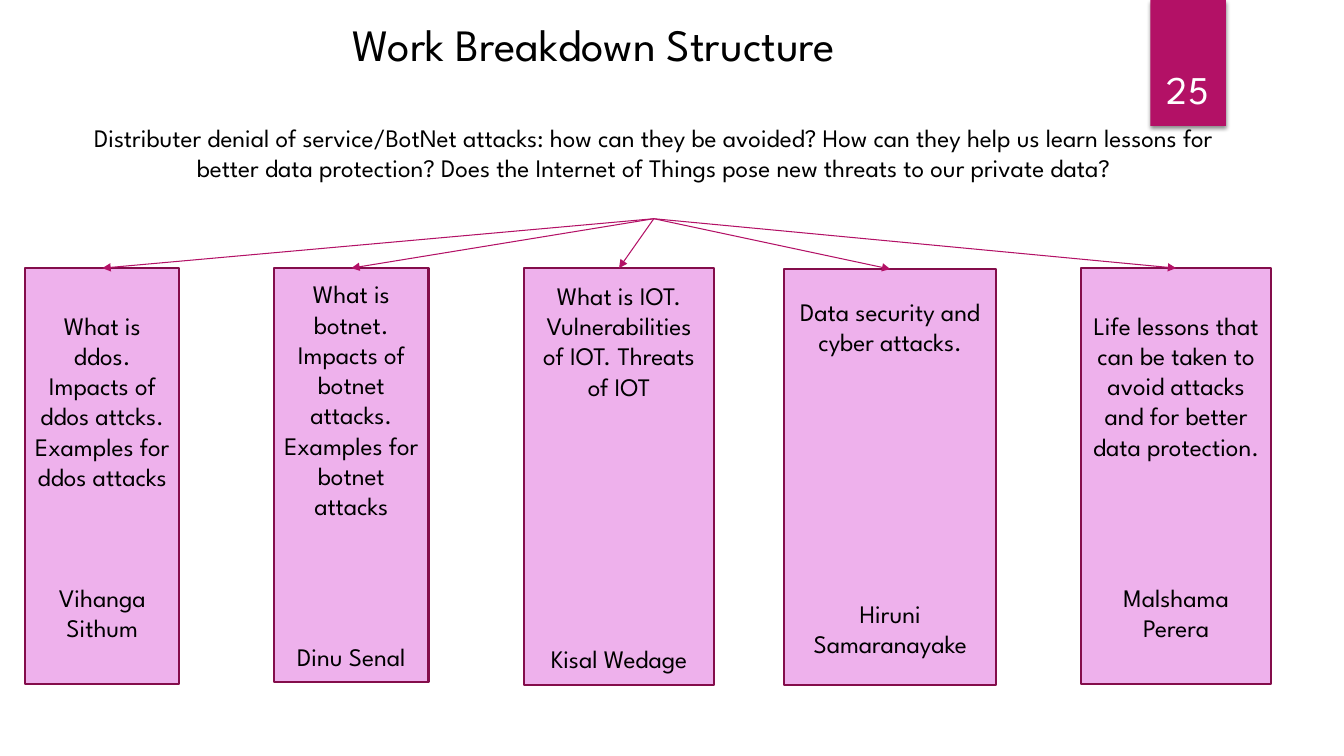
import pptx
import pptx.util
import pptx.dml.color
import pptx.enum.shapes
import pptx.enum.text
import pptx.oxml
import pptx.oxml.ns
from lxml import etree

PX = 9144
LINE_PITCH = 21.6
SHAPES = pptx.enum.shapes.MSO_SHAPE
ANCHOR = pptx.enum.text.MSO_ANCHOR
COLORS = {"accent": "B31166", "border": "840D4B", "card": "EEB1EC",
          "text": "000000", "white": "FFFFFF"}

TASKS = [
    (25, 266, 153, 413, "What is ddos. Impacts of ddos attcks. Examples for ddos attacks", 3, "Vihanga Sithum"),
    (272, 266, 153, 411, "What is botnet. Impacts of botnet attacks. Examples for botnet attacks", 4, "Dinu Senal"),
    (520, 266, 188, 414, "What is IOT. Vulnerabilities of IOT. Threats of IOT", 8, "Kisal Wedage"),
    (778, 267, 210, 413, "Data security and cyber attacks.", 8, "Hiruni Samaranayake"),
    (1072, 266, 189, 413, "Life lessons that can be taken to avoid attacks and for better data protection.", 4, "Malshama Perera"),
]


class SlideBuilder:
    font = "League Spartan"

    def __init__(self, slide):
        self.slide = slide

    def color(self, name):
        return pptx.dml.color.RGBColor.from_string(COLORS[name])

    def set_text(self, shape, lines, size, color="text", anchor=ANCHOR.TOP):
        frame = shape.text_frame
        frame.word_wrap = True
        frame.vertical_anchor = anchor
        frame.text = "\n".join(lines)
        for para in frame.paragraphs:
            para.alignment = pptx.enum.text.PP_ALIGN.CENTER
            for span in para.runs:
                span.font.name = self.font
                span.font.size = pptx.util.Pt(size)
                span.font.color.rgb = self.color(color)

    def text(self, left, top, width, height, words, size, **style):
        box = self.slide.shapes.add_textbox(left * PX, top * PX, width * PX, height * PX)
        self.set_text(box, [words], size, **style)
        return box

    def block(self, kind, left, top, width, height, fill, border=None):
        shape = self.slide.shapes.add_shape(kind, left * PX, top * PX, width * PX, height * PX)
        shape.shadow.inherit = False
        shape.fill.solid()
        shape.fill.fore_color.rgb = self.color(fill)
        if border:
            shape.line.color.rgb = self.color(border)
            shape.line.width = pptx.util.Pt(1.5)
        else:
            shape.line.fill.background()
        return shape

    def ribbon(self, left, top, width, height):
        shape = self.block(SHAPES.RECTANGLE, left, top, width, height, "accent")
        effects = shape._element.spPr.find(pptx.oxml.ns.qn("a:effectLst"))
        shadow = etree.SubElement(effects, pptx.oxml.ns.qn("a:outerShdw"),
                                  blurRad="38100", dist="25400", dir="5400000", rotWithShape="0")
        tint = etree.SubElement(shadow, pptx.oxml.ns.qn("a:srgbClr"), val=COLORS["text"])
        etree.SubElement(tint, pptx.oxml.ns.qn("a:alpha"), val="45000")

    def card(self, left, top, width, height, topic, gap_lines, member):
        shape = self.block(SHAPES.FLOWCHART_PROCESS, left, top, width, height, "card", "border")
        self.set_text(shape, [topic, member], 18, anchor=ANCHOR.MIDDLE)
        shape.text_frame.paragraphs[1].space_before = pptx.util.Pt(gap_lines * LINE_PITCH)
        return shape

    def arrow(self, source, target):
        line = self.slide.shapes.add_connector(pptx.enum.shapes.MSO_CONNECTOR.STRAIGHT, 0, 0, 0, 0)
        line.begin_connect(source, 2)
        line.end_connect(target, 0)
        line.line.color.rgb = self.color("accent")
        line.line.width = pptx.util.Pt(0.75)
        outline = line._element.spPr.find(pptx.oxml.ns.qn("a:ln"))
        etree.SubElement(outline, pptx.oxml.ns.qn("a:tailEnd"), type="triangle")
        etree.SubElement(line._element.spPr, pptx.oxml.ns.qn("a:effectLst"))


def main():
    deck = pptx.Presentation()
    deck.slide_width = 1333 * PX
    deck.slide_height = 750 * PX
    page = SlideBuilder(deck.slides.add_slide(deck.slide_layouts[6]))

    page.ribbon(1141, 0, 75, 125)
    page.text(1132, 32, 92, 84, "25", 28, color="white", anchor=ANCHOR.BOTTOM)
    question = page.text(
        61, 116, 1175, 101,
        "Distributer denial of service/BotNet attacks: how can they be avoided? "
        "How can they help us learn lessons for better data protection? "
        "Does the Internet of Things pose new threats to our private data?", 18)
    cards = [page.card(*task) for task in TASKS]
    for card in cards:
        page.arrow(question, card)
    page.text(46, 12, 1087, 64, "Work Breakdown Structure", 32)

    deck.save("out.pptx")


if __name__ == "__main__":
    main()
